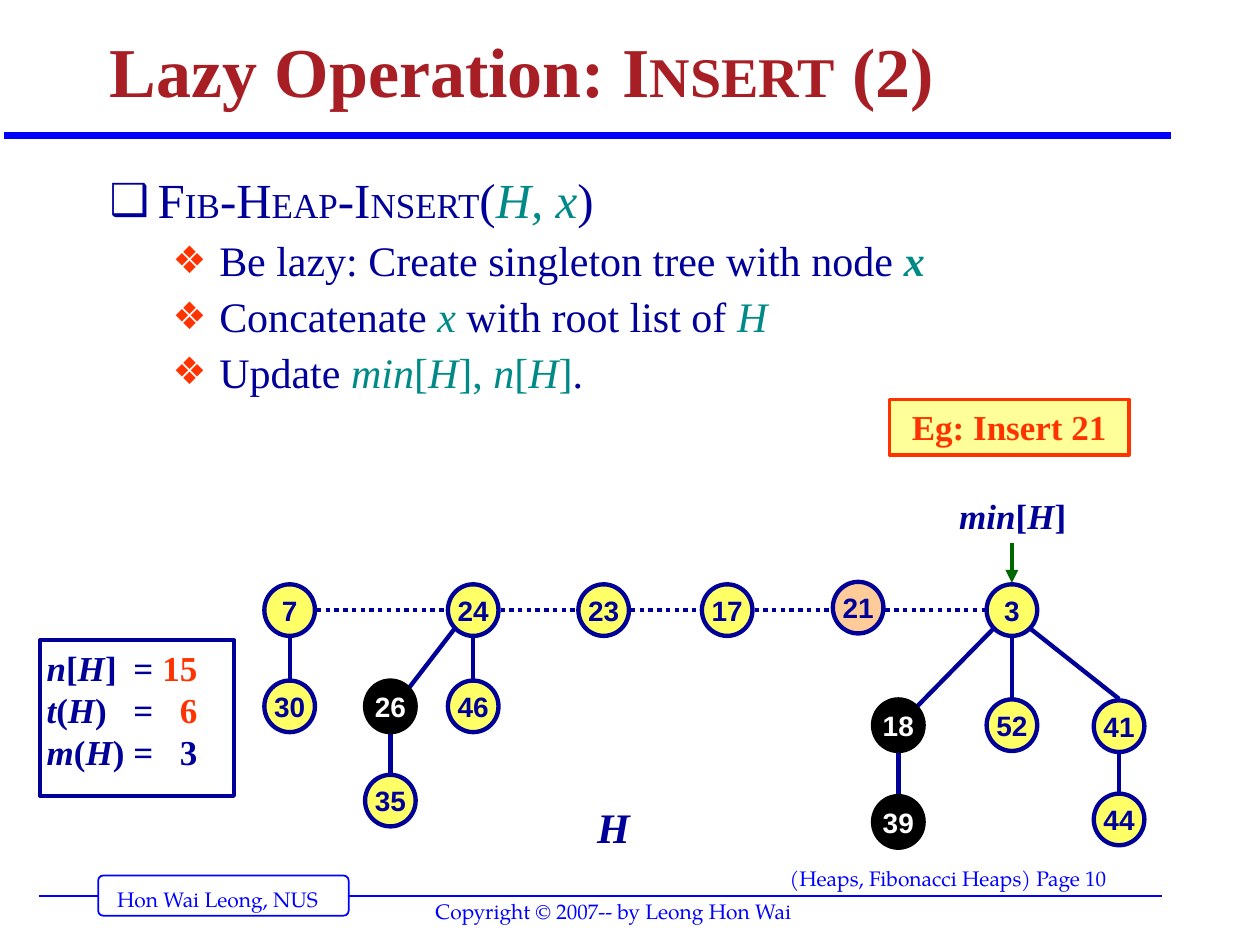
from itertools import groupby

from lxml import etree
from pptx import Presentation
from pptx.dml.color import RGBColor
from pptx.enum.dml import MSO_LINE
from pptx.enum.shapes import MSO_CONNECTOR, MSO_SHAPE
from pptx.enum.text import MSO_ANCHOR, MSO_AUTO_SIZE, PP_ALIGN
from pptx.oxml.ns import qn
from pptx.util import Cm, Pt

OVAL, RECT, ROUND = MSO_SHAPE.OVAL, MSO_SHAPE.RECTANGLE, MSO_SHAPE.ROUNDED_RECTANGLE
STRAIGHT, DOTS = MSO_CONNECTOR.STRAIGHT, MSO_LINE.ROUND_DOT
LEFT, MID = PP_ALIGN.LEFT, PP_ALIGN.CENTER
TOP, CORE, LOW = MSO_ANCHOR.TOP, MSO_ANCHOR.MIDDLE, MSO_ANCHOR.BOTTOM
FIXED = MSO_AUTO_SIZE.NONE

NAVY, BLUE, TEAL, RED = "000099", "0000FF", "008A87", "FF3300"
WHITE, BLACK, YELLOW, PEACH = "FFFFFF", "000000", "FFFF66", "FFCC99"
SERIF, SANS, FOOT = "Times New Roman", "Arial", "TeX Gyre Pagella"


def color(text):
    return RGBColor.from_string(text)


def run(text, **look):
    return text, look


def formula(text, **look):
    """Split into runs with letters in italics and signs upright."""
    return [run("".join(part), italic=slant, **look)
            for slant, part in groupby(text, str.isalpha)]


class Deck:
    def __init__(self):
        self.show = Presentation()
        self.show.slide_width, self.show.slide_height = Cm(25.4), Cm(19.05)
        self.slide = self.show.slides.add_slide(self.show.slide_layouts[1])
        self.base = dict(font=SERIF, size=20, hue=NAVY, bold=False, italic=False)

    def frame(self, shape, anchor=TOP, side=0.25, wrap=True):
        frame = shape.text_frame
        frame.auto_size, frame.word_wrap = FIXED, wrap
        frame.vertical_anchor = anchor
        frame.margin_left = frame.margin_right = Cm(side)
        frame.margin_top = frame.margin_bottom = Cm(0.13)
        return frame

    def add_runs(self, para, runs, align=LEFT, before=0, pitch=1.0, **look):
        para.alignment, para.space_before = align, Pt(before)
        para.line_spacing = pitch
        for text, own in runs:
            style = {**self.base, **look, **own}
            part = para.add_run()
            part.text = text
            font = part.font
            font.name, font.size = style["font"], Pt(style["size"])
            font.bold, font.italic = style["bold"], style["italic"]
            font.color.rgb = color(style["hue"])

    def place(self, shape, x, y, w, h):
        shape.left, shape.top, shape.width, shape.height = map(Cm, (x, y, w, h))

    def title(self, runs, box, **look):
        shape = self.slide.shapes.title
        self.place(shape, *box)
        self.add_runs(self.frame(shape, LOW).paragraphs[0], runs, pitch=0.9, **look)

    def bullets(self, items, box):
        shape = self.slide.placeholders[1]
        self.place(shape, *box)
        frame = self.frame(shape)
        for i, (level, runs) in enumerate(items):
            para = frame.add_paragraph() if i else frame.paragraphs[0]
            para.level = level
            mark, hue, left, hang, size = (
                ("❖", RED, 2.21, 0.94, 24) if level else ("❑", NAVY, 0.97, 0.97, 28))
            props = para._p.get_or_add_pPr()
            props.set("marL", str(Cm(left)))
            props.set("indent", str(-Cm(hang)))
            tint = etree.SubElement(props, qn("a:buClr"))
            etree.SubElement(tint, qn("a:srgbClr"), val=hue)
            etree.SubElement(props, qn("a:buSzPct"), val="90000")
            etree.SubElement(props, qn("a:buChar"), char=mark)
            self.add_runs(para, runs, before=6 if i else 0, pitch=0.9, size=size)

    def shape(self, kind, box, fill, edge, width):
        shape = self.slide.shapes.add_shape(kind, *map(Cm, box))
        shape.shadow.inherit = False
        shape.fill.solid()
        shape.fill.fore_color.rgb = color(fill)
        shape.line.color.rgb, shape.line.width = color(edge), Pt(width)
        return shape

    def label(self, runs, box, side=0.25, **look):
        shape = self.slide.shapes.add_textbox(*map(Cm, box))
        self.add_runs(self.frame(shape, side=side).paragraphs[0], runs, **look)

    def line(self, start, end, hue=NAVY, width=2.5, dots=False, arrow=False):
        link = self.slide.shapes.add_connector(STRAIGHT, *map(Cm, (*start, *end)))
        link.line.color.rgb, link.line.width = color(hue), Pt(width)
        if dots:
            link.line.dash_style = DOTS
        props = link._element.spPr
        if arrow:
            etree.SubElement(props.find(qn("a:ln")), qn("a:tailEnd"), type="triangle")
        etree.SubElement(props, qn("a:effectLst"))

    def node(self, key, x, y, fill):
        dark = fill == BLACK
        box = (x - 0.51, y - 0.52, 1.02, 1.04)
        shape = self.shape(OVAL, box, fill, BLACK if dark else NAVY, 2.5)
        self.add_runs(self.frame(shape, CORE, wrap=False).paragraphs[0], [run(key)], MID,
                      font=SANS, size=16, bold=True, hue=WHITE if dark else NAVY)


# Node centres in cm, with fills
NODES = {
    "7": (5.84, 12.3, YELLOW), "24": (9.54, 12.3, YELLOW), "23": (12.17, 12.3, YELLOW),
    "17": (14.66, 12.3, YELLOW), "3": (20.4, 12.3, YELLOW), "21": (17.3, 12.25, PEACH),
    "30": (5.84, 14.24, YELLOW), "26": (7.87, 14.24, BLACK), "46": (9.54, 14.24, YELLOW),
    "35": (7.87, 16.14, YELLOW), "18": (18.11, 14.62, BLACK), "52": (20.4, 14.62, YELLOW),
    "41": (22.56, 14.64, YELLOW), "39": (18.11, 16.57, BLACK), "44": (22.56, 16.52, YELLOW),
}
ROOTS = ["7", "24", "23", "17", "3"]
# Offsets from a node's centre to where a line meets it
REACH, SLANT = 0.55, 0.38
DOWN, UP = (0, REACH), (0, -REACH)
EAST, WEST = (REACH, 0), (-REACH, 0)
SW, SE, NE = (-SLANT, SLANT), (SLANT, SLANT), (SLANT, -SLANT)
DROPS = [("7", "30"), ("24", "46"), ("26", "35"), ("3", "52"), ("18", "39"), ("41", "44")]
EDGES = [(a, DOWN, b, UP) for a, b in DROPS] + [
    ("24", SW, "26", NE), ("3", SW, "18", NE), ("3", SE, "41", UP)]


def port(key, shift):
    x, y, _ = NODES[key]
    return x + shift[0], y + shift[1]


def footer(deck):
    deck.line((0.79, 18.06), (23.42, 18.06), BLUE, 1)
    tag = deck.shape(ROUND, (1.98, 17.65, 5.05, 0.81), WHITE, BLUE, 1)
    tag.adjustments[0] = 0.125
    deck.line((0.08, 2.74), (23.6, 2.74), BLUE, 4)
    for text, x, y in [("Hon Wai Leong, NUS", 2.11, 17.75),
                       ("(Heaps, Fibonacci Heaps) Page 10", 15.67, 17.32),
                       ("Copyright © 2007-- by Leong Hon Wai", 8.53, 17.98)]:
        deck.label([run(text)], (x, y, 8, 0.8), font=FOOT, size=12, hue=BLUE)


def heap(deck):
    for a, b in zip(ROOTS, ROOTS[1:]):
        deck.line(port(a, EAST), port(b, WEST), dots=True)
    for a, out, b, into in EDGES:
        deck.line(port(a, out), port(b, into))
    for key, (x, y, fill) in NODES.items():
        deck.node(key, x, y, fill)
    deck.line((20.4, 10.95), port("3", UP), "006600", arrow=True)
    deck.label(formula("min[H]"), (19.08, 9.83, 2.67, 1.12), 0.13, align=MID, bold=True)
    deck.label(formula("H"), (11.79, 16.03, 1.42, 1.27), size=24, bold=True)


def notes(deck):
    tag = deck.shape(RECT, (17.93, 8.05, 4.83, 1.12), "FFFF99", RED, 2)
    deck.add_runs(deck.frame(tag, side=0.13).paragraphs[0], [run("Eg: Insert 21")], MID,
                  bold=True, hue=RED)
    stats = deck.shape(RECT, (0.81, 12.9, 3.91, 3.15), WHITE, NAVY, 2)
    frame = deck.frame(stats, side=0.13)
    rows = [("n[H]", "15", RED), ("t(H)", "6", RED), ("m(H)", "3", NAVY)]
    for i, (name, value, hue) in enumerate(rows):
        para = frame.add_paragraph() if i else frame.paragraphs[0]
        stops = etree.SubElement(para._p.get_or_add_pPr(), qn("a:tabLst"))
        for spot, side in [(1.75, "l"), (3.04, "r")]:
            etree.SubElement(stops, qn("a:tab"), pos=str(Cm(spot)), algn=side)
        deck.add_runs(para, formula(name + "\t=\t") + [run(value, hue=hue)], bold=True)


def main():
    deck = Deck()
    footer(deck)
    deck.title([run("Lazy Operation: I"), run("NSERT", size=32), run(" (2)")],
               (1.96, 0.2, 21.59, 2.21), size=40, hue="A81E25", bold=True)
    caps = [run(text, size=size) for text, size in zip(
        ["F", "IB", "-H", "EAP", "-I", "NSERT", "("], [28, 20] * 3 + [28])]
    deck.bullets([
        (0, caps + [run("H, x", hue=TEAL, italic=True), run(")")]),
        (1, [run("Be lazy: Create singleton tree with node "),
             run("x", hue=TEAL, bold=True, italic=True)]),
        (1, [run("Concatenate "), *formula("x", hue=TEAL),
             run(" with root list of "), *formula("H", hue=TEAL)]),
        (1, [run("Update "), *formula("min[H], n[H]", hue=TEAL), run(".")]),
    ], (1.96, 3.43, 21.67, 4.8))
    heap(deck)
    notes(deck)
    deck.show.save("out.pptx")


if __name__ == "__main__":
    main()
